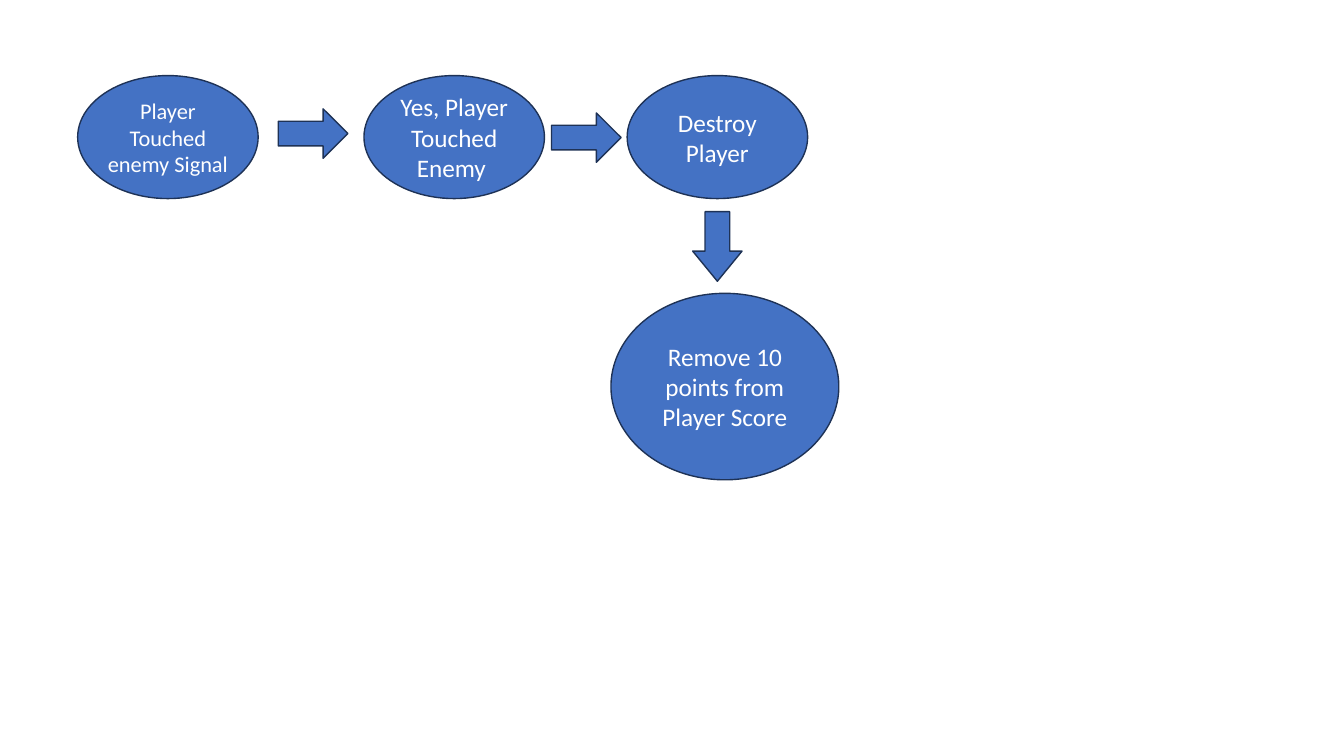
from pptx import Presentation
from pptx.dml.color import RGBColor
from pptx.enum.shapes import MSO_SHAPE
from pptx.enum.text import MSO_ANCHOR, PP_ALIGN
from pptx.util import Inches, Pt

FILL, OUTLINE, TEXT = "4472C4", "1E3256", "FFFFFF"
STEP_TOP, STEP_WIDTH, STEP_HEIGHT = 0.75, 1.79, 1.22
ARROW_WIDTH, ARROW_HEIGHT = 0.69, 0.49


def color(value):
    return RGBColor.from_string(value)


def add_flow_shape(slide, kind, left, top, width, height):
    shape = slide.shapes.add_shape(
        kind, Inches(left), Inches(top), Inches(width), Inches(height))
    shape.shadow.inherit = False
    shape.fill.solid()
    shape.fill.fore_color.rgb = color(FILL)
    shape.line.color.rgb = color(OUTLINE)
    shape.line.width = Pt(1)
    return shape


def add_step(slide, text, left, top, width, height, size=18):
    shape = add_flow_shape(slide, MSO_SHAPE.OVAL, left, top, width, height)
    frame = shape.text_frame
    frame.word_wrap = True
    frame.vertical_anchor = MSO_ANCHOR.MIDDLE
    paragraph = frame.paragraphs[0]
    paragraph.alignment = PP_ALIGN.CENTER
    run = paragraph.add_run()
    run.text = text
    run.font.name = "Calibri"
    run.font.size = Pt(size)
    run.font.color.rgb = color(TEXT)
    return frame


def add_arrow(slide, left, top):
    return add_flow_shape(slide, MSO_SHAPE.RIGHT_ARROW, left, top,
                          ARROW_WIDTH, ARROW_HEIGHT)


def build_flow(slide):
    # Top row of steps; the longest text is smaller, without margins, to fit
    signal_frame, *_ = [
        add_step(slide, text, left, STEP_TOP, STEP_WIDTH, STEP_HEIGHT, size)
        for text, left, size in (("Player Touched enemy Signal", 0.77, 16),
                                 ("Yes, Player Touched Enemy ", 3.61, 18),
                                 ("Destroy Player", 6.22, 18))]
    signal_frame.margin_left = signal_frame.margin_right = 0
    signal_frame.margin_top = signal_frame.margin_bottom = 0

    # Final, larger step
    add_step(slide, "Remove 10 points from Player Score", 6.06, 2.91, 2.26, 1.85)

    # Arrows along the row
    for left, top in ((2.76, 1.08), (5.47, 1.12)):
        add_arrow(slide, left, top)

    # Arrow down to the final step
    down_arrow = add_arrow(slide, 6.77, 2.2)
    down_arrow.rotation = 90
    down_arrow.adjustments[1] = 0.61


def main():
    presentation = Presentation()
    presentation.slide_width = Inches(13.33)
    presentation.slide_height = Inches(7.5)
    slide = presentation.slides.add_slide(presentation.slide_layouts[6])
    build_flow(slide)
    presentation.save("out.pptx")


if __name__ == "__main__":
    main()
